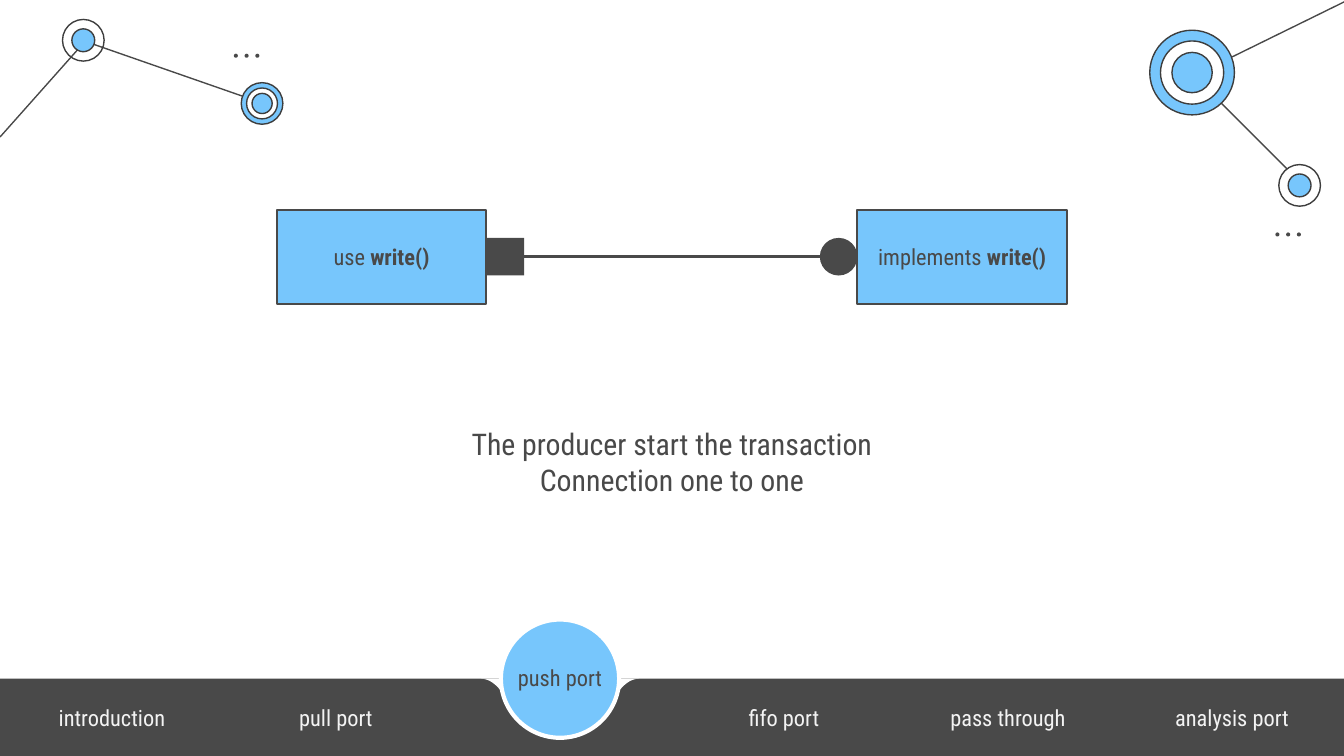
from lxml import etree
from pptx import Presentation
from pptx.dml.color import RGBColor
from pptx.enum import shapes as sh, text as tx
from pptx.oxml import ns
from pptx.util import Inches, Pt

BLUE = RGBColor(0x77, 0xC6, 0xFC)
GRAY = RGBColor(0x49, 0x49, 0x49)
DARK = RGBColor(0x3D, 0x3D, 0x3D)
PALE = RGBColor(0xF3, 0xF3, 0xF3)
WHITE = RGBColor(0xFF, 0xFF, 0xFF)
FONT = "Roboto Condensed"
RECT, OVAL = sh.MSO_SHAPE.RECTANGLE, sh.MSO_SHAPE.OVAL

WIDE, HIGH = 10, 5.625
TABS = ["introduction", "pull port", "push port", "fifo port",
        "pass through", "analysis port"]
ACTIVE = 2
NOTES = [[("The producer start the transaction", False)],
         [("Connection one to one", False)]]
PORTS = [(2.06, "use "), (6.38, "implements ")]
CALL = "write()"

LINKS = [((9.67, 1.35), (8.87, 0.55)), ((0.64, 0.31), (1.96, 0.77)),
         ((0, 1.02), (0.64, 0.3)), ((10.01, 0.01), (8.91, 0.55))]
NODES = [(0.62, 0.3, [(0.31, None), (0.17, BLUE)]),
         (1.95, 0.77, [(0.31, BLUE), (0.23, WHITE), (0.15, BLUE)]),
         (8.87, 0.54, [(0.63, BLUE), (0.47, WHITE), (0.3, BLUE)]),
         (9.67, 1.38, [(0.31, WHITE), (0.17, BLUE)])]
DOTS = [(1.74, 0.4), (9.49, 1.73)]

deck = Presentation()
deck.slide_width, deck.slide_height = Inches(WIDE), Inches(HIGH)
slide = deck.slides.add_slide(deck.slide_layouts[6])


def shape(kind, x, y, w, h, fill, line=None, width=0.75):
    item = slide.shapes.add_shape(kind, Inches(x), Inches(y), Inches(w), Inches(h))
    paint(item, fill, line, width)
    return item


def paint(item, fill, line=None, width=0.75):
    item.shadow.inherit = False
    if fill is None:
        item.fill.background()
    else:
        item.fill.solid()
        item.fill.fore_color.rgb = fill
    if line is None:
        item.line.fill.background()
    else:
        item.line.color.rgb = line
        item.line.width = Pt(width)


def link(start, end, width=0.75):
    item = slide.shapes.add_connector(
        sh.MSO_CONNECTOR.STRAIGHT, *(Inches(v) for v in (*start, *end)))
    item.line.color.rgb = GRAY
    item.line.width = Pt(width)
    etree.SubElement(item._element.spPr, ns.qn("a:effectLst"))
    return item


def write(item, paras, size=12, color=GRAY, anchor=tx.MSO_ANCHOR.MIDDLE):
    frame = item.text_frame
    frame.word_wrap = True
    frame.vertical_anchor = anchor
    for i, runs in enumerate(paras):
        para = frame.add_paragraph() if i else frame.paragraphs[0]
        para.alignment = tx.PP_ALIGN.CENTER
        for words, bold in runs:
            run = para.add_run()
            run.text = words
            font = run.font
            font.name, font.size, font.bold = FONT, Pt(size), bold
            font.color.rgb = color


def box(x, y, w, h):
    return slide.shapes.add_textbox(Inches(x), Inches(y), Inches(w), Inches(h))


def notch(mid, side):
    bend = [(0.42, 0.12), (0.47, 0.04), (0.53, 0), (0.59, 0)]
    pts = [(0.59, 0), (0.34, 0), (0.34, 0.15), (0.41, 0.15)]
    for i in range(13):
        t = i / 12
        mix = ((1 - t) ** 3, 3 * t * (1 - t) ** 2, 3 * t * t * (1 - t), t ** 3)
        pts.append(tuple(sum(m * p[k] for m, p in zip(mix, bend)) for k in (0, 1)))
    pts = [(Inches(mid + side * x), Inches(BAR + y)) for x, y in pts]
    path = slide.shapes.build_freeform(*pts[0], scale=1.0)
    path.add_line_segments(pts[1:], close=True)
    paint(path.convert_to_shape(), WHITE)


for start, end in LINKS:
    link(start, end)
for x, y, rings in NODES:
    for d, fill in rings:
        shape(OVAL, x - d / 2, y - d / 2, d, d, fill, DARK)
for x, y in DOTS:
    for i in range(3):
        shape(OVAL, x + 0.08 * i, y, 0.03, 0.03, GRAY)

BAR, DEPTH, DISC, LIFT = 5.05, 0.58, 0.88, 0.3
step = WIDE / len(TABS)
mid = step * (ACTIVE + 0.5)
shape(RECT, 0, BAR, WIDE, DEPTH, GRAY)
for side in (-1, 1):
    notch(mid, side)
shape(OVAL, mid - DISC / 2, BAR - DISC / 2, DISC, DISC, BLUE, WHITE, 2.25)
for i, name in enumerate(TABS):
    live = i == ACTIVE
    write(box(step * i, BAR - LIFT * live, step, DEPTH), [[(name, False)]],
          color=GRAY if live else PALE)

body = box(2.37, 3.07, 5.26, 1.24)
body.text_frame.margin_top = body.text_frame.margin_bottom = Inches(0.1)
write(body, NOTES, size=16, anchor=tx.MSO_ANCHOR.TOP)

TOP, LONG, TALL, PLUG = 1.56, 1.56, 0.7, 0.28
for x, verb in PORTS:
    port = shape(RECT, x, TOP, LONG, TALL, BLUE, GRAY, 1)
    write(port, [[(verb, False), (CALL, True)]])
axis = TOP + TALL / 2
left, right = PORTS[0][0] + LONG, PORTS[1][0] - PLUG
plug = shape(RECT, left, axis - PLUG / 2, PLUG, PLUG, GRAY)
shape(OVAL, right, axis - PLUG / 2, PLUG, PLUG, GRAY)
wire = link((left + PLUG, axis), (right, axis), 1.5)
wire.begin_connect(plug, 3)

deck.save("out.pptx")
